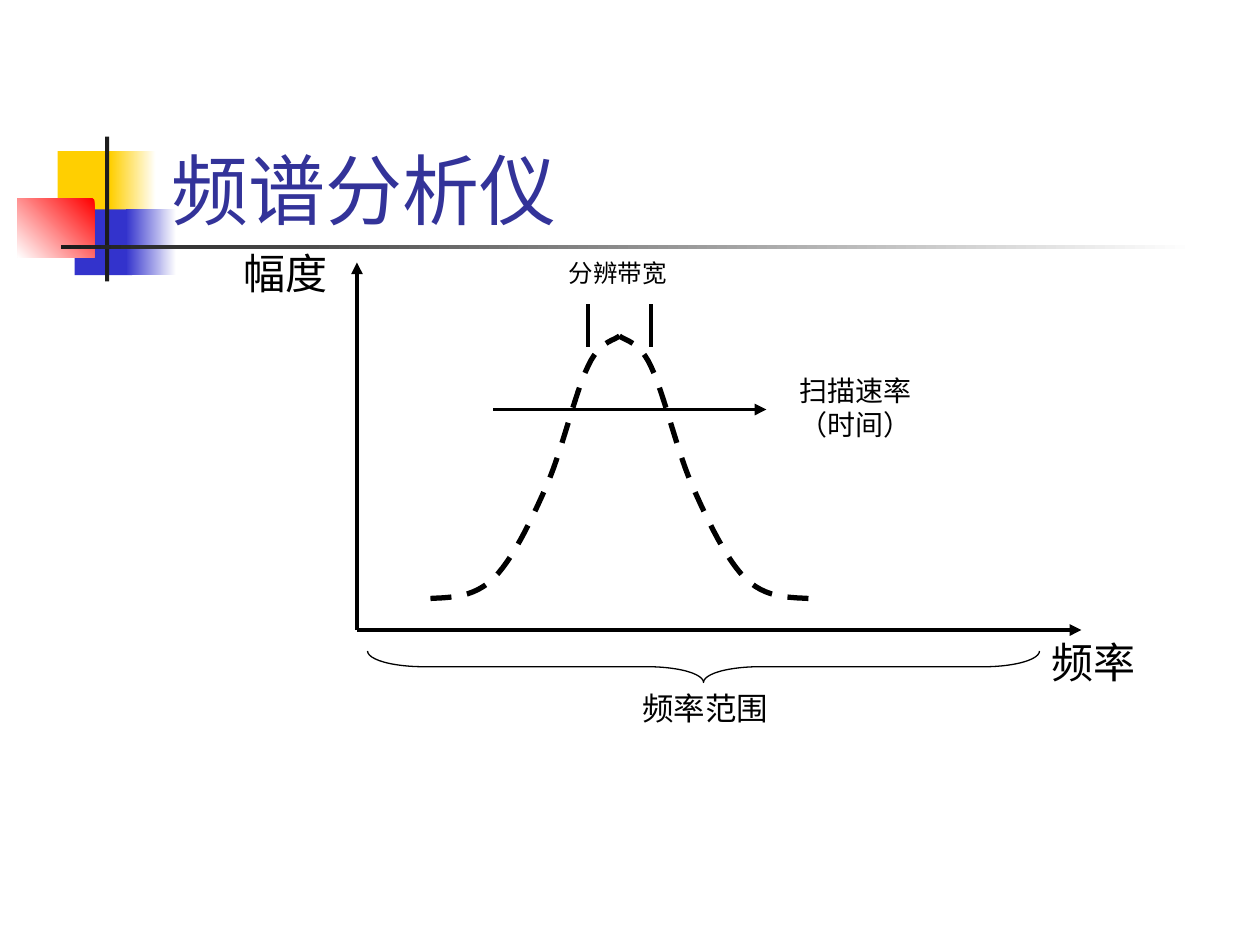
import pptx
import pptx.dml.color
import pptx.enum.dml
import pptx.enum.shapes
import pptx.enum.text
import pptx.oxml
import pptx.oxml.ns
import pptx.util

COLORS = {
    "white": "FFFFFF", "black": "000000", "title": "333399", "yellow": "FFCF01",
    "blue": "3333CC", "red": "FF0000", "charcoal": "1C1C1C",
}
CELL = pptx.util.Inches(1) / 12
SHAPES = pptx.enum.shapes.MSO_SHAPE
ANCHOR = pptx.enum.text.MSO_ANCHOR
AUTO_SIZE = pptx.enum.text.MSO_AUTO_SIZE
BODY_FONT = "Times New Roman"
CURVE_STEPS = 12


def cells(*values):
    """Convert grid cells, twelve to the inch, to lengths."""
    return [pptx.util.Emu(round(value * CELL)) for value in values]


def color(name):
    return pptx.dml.color.RGBColor.from_string(COLORS[name])


def apply(target, values):
    for name, value in values.items():
        setattr(target, name, value)


def drawing_element(tag, attributes=""):
    return pptx.oxml.parse_xml(
        f'<a:{tag} {pptx.oxml.ns.nsdecls("a")} {attributes}/>')


def bezier(start, first, second, end):
    """Points after start along a cubic curve."""
    points = []
    for step in range(1, CURVE_STEPS + 1):
        t = step / CURVE_STEPS
        weights = ((1 - t) ** 3, 3 * t * (1 - t) ** 2, 3 * t ** 2 * (1 - t), t ** 3)
        points.append(tuple(
            sum(weight * value for weight, value in zip(weights, axis))
            for axis in zip(start, first, second, end)))
    return points


class SlideBuilder:
    def __init__(self, presentation):
        self.slide = presentation.slides.add_slide(presentation.slide_layouts[5])
        self.shapes = self.slide.shapes

    def set_text(self, shape, text, size, font, ink, **frame_values):
        frame = shape.text_frame
        frame.text = text
        apply(frame, {"word_wrap": True, **frame_values})
        paragraph = frame.paragraphs[0]
        paragraph.alignment = pptx.enum.text.PP_ALIGN.LEFT
        apply(paragraph.font, {"size": pptx.util.Pt(size), "name": font})
        paragraph.font.color.rgb = color(ink)

    def title(self, text, box):
        shape = self.shapes.title
        apply(shape, dict(zip(("left", "top", "width", "height"), cells(*box))))
        self.set_text(shape, text, 44, "Lato", "title",
                      vertical_anchor=ANCHOR.BOTTOM, auto_size=AUTO_SIZE.NONE)
        # Bring the title in front of the decoration.
        self.shapes._spTree.append(shape._element)

    def label(self, text, box, size):
        shape = self.shapes.add_textbox(*cells(*box))
        self.set_text(shape, text, size, BODY_FONT, "black",
                      auto_size=AUTO_SIZE.SHAPE_TO_FIT_TEXT)

    def block(self, box, start, end=None, angle=180):
        """Rectangle with a solid fill, or a gradient when end is given."""
        shape = self.shapes.add_shape(SHAPES.RECTANGLE, *cells(*box))
        shape.shadow.inherit = False
        shape.line.fill.background()
        if end is None:
            shape.fill.solid()
            shape.fill.fore_color.rgb = color(start)
            return
        shape.fill.gradient()
        shape.fill.gradient_angle = 360 - angle
        for stop, name in zip(shape.fill.gradient_stops, (start, end)):
            stop.color.rgb = color(name)

    def stroke(self, shape, width):
        shape.line.color.rgb = color("black")
        shape.line.width = pptx.util.Pt(width)

    def line(self, start, end, arrow=False):
        connector = self.shapes.add_connector(
            pptx.enum.shapes.MSO_CONNECTOR.STRAIGHT, *cells(*start, *end))
        self.stroke(connector, 2.25)
        properties = connector._element.spPr
        if arrow:
            outline = properties.find(pptx.oxml.ns.qn("a:ln"))
            outline.append(drawing_element("tailEnd", 'type="triangle"'))
        properties.append(drawing_element("effectLst"))

    def dashed_curve(self, knots):
        """Open curve through every third knot, the others being controls."""
        points = []
        for index in range(0, len(knots) - 1, 3):
            points += bezier(*knots[index:index + 4])
        builder = self.shapes.build_freeform(*cells(*knots[0]), scale=1.0)
        builder.add_line_segments([cells(*point) for point in points], close=False)
        shape = builder.convert_to_shape()
        shape.shadow.inherit = False
        shape.fill.background()
        self.stroke(shape, 3)
        shape.line.dash_style = pptx.enum.dml.MSO_LINE.DASH

    def brace_below(self, left, top, width, height):
        """Brace that points down, made by turning a right brace."""
        offset = (width - height) / 2
        shape = self.shapes.add_shape(
            SHAPES.RIGHT_BRACE, *cells(left + offset, top - offset, height, width))
        shape.rotation = 90
        shape.adjustments[0] = 1.78
        shape.shadow.inherit = False
        shape.fill.background()
        self.stroke(shape, 0.75)


def main():
    presentation = pptx.Presentation()
    presentation.slide_width, presentation.slide_height = cells(120, 90)
    builder = SlideBuilder(presentation)

    for block in (
        ((5.5, 14.4, 5.8, 6.25), "yellow"),
        ((10.5, 14.4, 4.35, 6.25), "white", "yellow"),
        ((7.1, 19.95, 5.5, 6.25), "blue"),
        ((12, 19.95, 4.8, 6.25), "white", "blue"),
        ((1.65, 18.95, 7.35, 5.55), "red", "white", 135),
        ((10, 13, 0.4, 13.8), "charcoal"),
        ((5.8, 23.35, 108, 0.4), "white", "charcoal"),
    ):
        builder.block(*block)
    builder.title("频谱分析仪", (15.1, 8, 102.25, 15))

    origin, peak = (34, 60), (59, 32)
    builder.line(origin, (103, 60), arrow=True)
    builder.line(origin, (34, 25), arrow=True)

    rising = [(41, 57), (43.1, 56.9), (45.1, 56.9), (47, 55.1),
              (48.8, 53.3), (50.5, 49.8), (52, 46.4),
              (53.5, 43.1), (54.8, 37.3), (56, 34.9),
              (57.1, 32.5), (58.4, 32.5), peak]
    builder.dashed_curve(rising)
    builder.dashed_curve([(2 * peak[0] - x, y) for x, y in rising])

    builder.line((47, 39), (73, 39), arrow=True)
    for x in (peak[0] - 3, peak[0] + 3):
        builder.line((x, 29), (x, 33))
    builder.brace_below(35, 62, 64, 3)

    for text, box, size in (
        ("幅度", (22, 23, 12, 6), 24),
        ("频率", (99, 60, 11, 6), 24),
        ("扫描速率（时间）", (75, 35, 14, 7.7), 16),
        ("分辨带宽", (53, 24, 12, 4.05), 14),
        ("频率范围", (60, 65, 18, 4.8), 18),
    ):
        builder.label(text, box, size)

    presentation.save("out.pptx")


if __name__ == "__main__":
    main()
